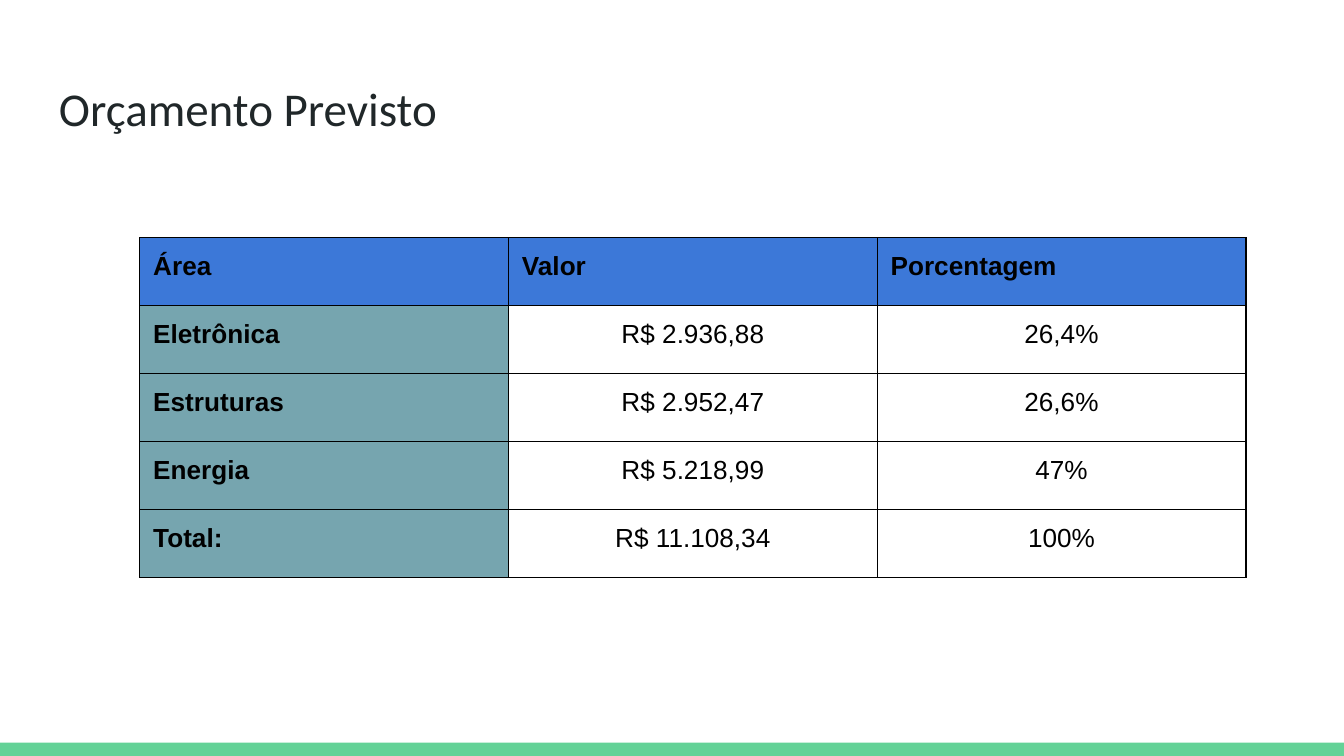
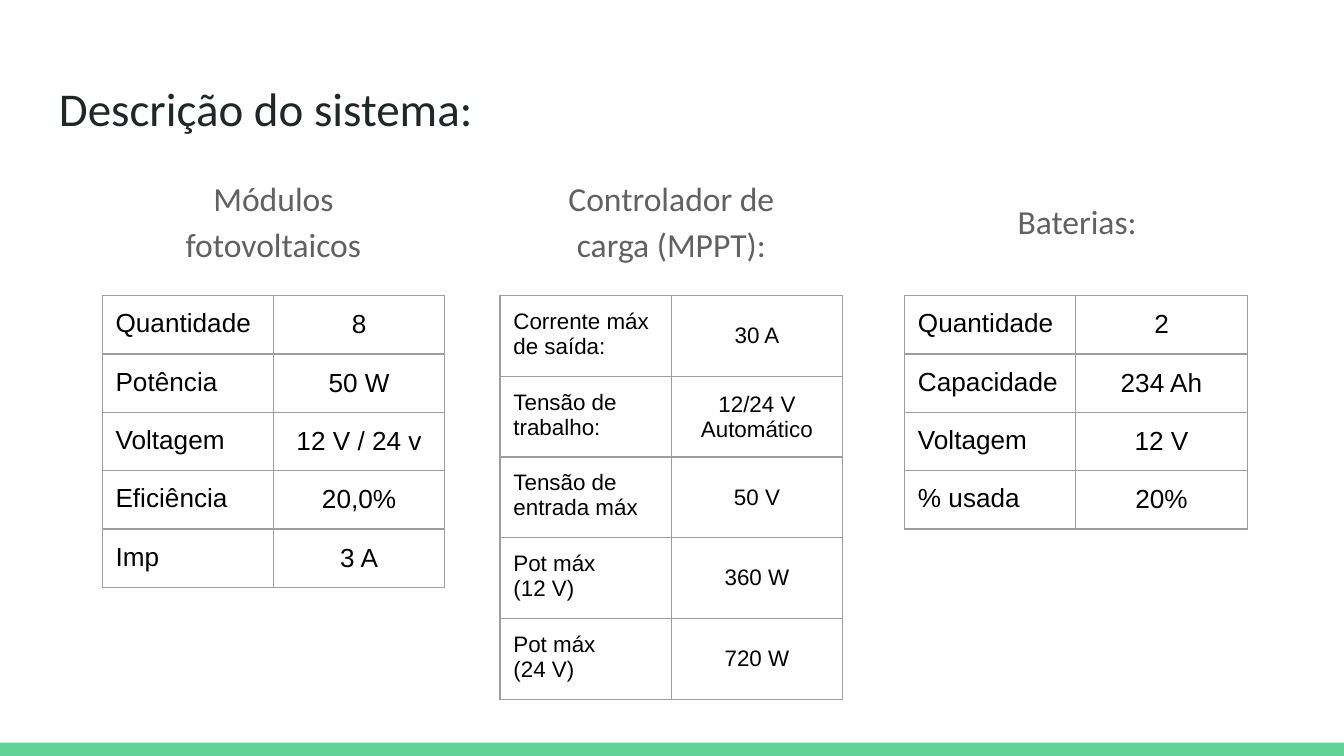
from dataclasses import dataclass

from lxml import etree
from pptx import Presentation
from pptx.dml.color import RGBColor
from pptx.enum.shapes import MSO_SHAPE
from pptx.enum.text import MSO_ANCHOR, PP_ALIGN
from pptx.oxml.ns import qn
from pptx.util import Inches, Pt

RECTANGLE = MSO_SHAPE.RECTANGLE
TOP, MIDDLE = MSO_ANCHOR.TOP, MSO_ANCHOR.MIDDLE
LEFT, CENTER = PP_ALIGN.LEFT, PP_ALIGN.CENTER


@dataclass(frozen=True)
class Theme:
    background: str = "FFFFFF"
    band: str = "63D297"
    title: str = "202729"
    heading: str = "616161"
    cell_text: str = "000000"
    header_fill: str = "3C78D8"
    area_fill: str = "76A5AF"
    budget_border: str = "000000"
    spec_border: str = "9E9E9E"
    heading_font: str = "Calibri"
    table_font: str = "Arial"
    title_size: float = 25.2
    heading_size: float = 18
    table_size: float = 14
    small_table_size: float = 12
    border_width: float = 0.75
    inset: float = 0.1


THEME = Theme()
SLIDE_WIDTH = 10
SLIDE_HEIGHT = SLIDE_WIDTH * 9 / 16
BAND_HEIGHT = 0.1

BUDGET = [
    ("Área", "Valor", "Porcentagem"),
    ("Eletrônica", "R$ 2.936,88", "26,4%"),
    ("Estruturas", "R$ 2.952,47", "26,6%"),
    ("Energia", "R$ 5.218,99", "47%"),
    ("Total:", "R$ 11.108,34", "100%"),
]
MODULES = [
    ("Quantidade", "8"),
    ("Potência", "50 W"),
    ("Voltagem", "12 V / 24 v"),
    ("Eficiência", "20,0%"),
    ("Imp", "3 A"),
]
CONTROLLER = [
    ("Corrente máx de saída:", "30 A"),
    ("Tensão de trabalho:", "12/24 V Automático"),
    ("Tensão de entrada máx", "50 V"),
    ("Pot máx\n(12 V)", "360 W"),
    ("Pot máx\n(24 V)", "720 W"),
]
BATTERIES = [
    ("Quantidade", "2"),
    ("Capacidade", "234 Ah"),
    ("Voltagem", "12 V"),
    ("% usada", "20%"),
]
# heading, heading box, table left, table height, rows, text size
SYSTEM_PARTS = [
    ("Módulos fotovoltaicos", (1.18, 1.31, 1.71, 0.63), 0.76, 2.15, MODULES,
     THEME.table_size),
    ("Controlador de carga (MPPT):", (4.05, 1.21, 1.89, 0.83), 3.72, 2.86, CONTROLLER,
     THEME.small_table_size),
    ("Baterias:", (7.28, 1.31, 1.47, 0.63), 6.73, 1.72, BATTERIES, THEME.table_size),
]


def set_insets(target):
    for side in ("left", "top", "right", "bottom"):
        setattr(target, f"margin_{side}", Inches(THEME.inset))


def format_text(frame, color, align=LEFT, spacing=None, **font_values):
    for para in frame.paragraphs:
        para.alignment = align
        if spacing:
            para.line_spacing = spacing
        for span in para.runs:
            span.font.color.rgb = RGBColor.from_string(color)
            for name, value in font_values.items():
                setattr(span.font, name, value)


def add_text(page, text, place, size, color, anchor=TOP, **paragraph_values):
    box = page.shapes.add_textbox(*map(Inches, place))
    frame = box.text_frame
    frame.word_wrap = True
    frame.vertical_anchor = anchor
    set_insets(frame)
    frame.text = text
    format_text(frame, color, name=THEME.heading_font, size=Pt(size), **paragraph_values)


def add_page(deck, title):
    """Add a slide with the bottom band and the title."""
    page = deck.slides.add_slide(deck.slide_layouts[6])
    page.background.fill.solid()
    page.background.fill.fore_color.rgb = RGBColor.from_string(THEME.background)
    place = (0, SLIDE_HEIGHT - BAND_HEIGHT, SLIDE_WIDTH, BAND_HEIGHT)
    band = page.shapes.add_shape(RECTANGLE, *map(Inches, place))
    band.shadow.inherit = False
    band.fill.solid()
    band.fill.fore_color.rgb = RGBColor.from_string(THEME.band)
    band.line.fill.background()
    add_text(page, title, (0.34, 0.49, 9.32, 0.63), THEME.title_size, THEME.title)
    return page


def set_borders(cell, color):
    properties = cell._tc.get_or_add_tcPr()
    for tag in ("a:lnL", "a:lnR", "a:lnT", "a:lnB"):
        line = etree.SubElement(properties, qn(tag), w=str(Pt(THEME.border_width)))
        fill = etree.SubElement(line, qn("a:solidFill"))
        etree.SubElement(fill, qn("a:srgbClr"), val=color)


def fill_cell(cell, color):
    if color:
        cell.fill.solid()
        cell.fill.fore_color.rgb = RGBColor.from_string(color)
    else:
        cell.fill.background()


def add_table(page, rows, place, border, size,
              value_anchor=TOP, header_fill=None, label_fill=None):
    """Add an even grid, labels on the left; filled header and label cells are bold."""
    shape = page.shapes.add_table(len(rows), len(rows[0]), *map(Inches, place))
    table = shape.table
    table.first_row = table.horz_banding = False
    for r, values in enumerate(rows):
        for c, value in enumerate(values):
            cell = table.cell(r, c)
            is_header = r == 0 and header_fill is not None
            is_label = c == 0
            fill = header_fill if is_header else label_fill if is_label else None
            cell.text = value
            cell.vertical_anchor = TOP if is_label else value_anchor
            set_insets(cell)
            set_borders(cell, border)
            fill_cell(cell, fill)
            format_text(cell.text_frame, THEME.cell_text,
                        align=LEFT if is_header or is_label else CENTER,
                        name=THEME.table_font, size=Pt(size), bold=fill is not None)


def add_budget_page(deck):
    page = add_page(deck, "Orçamento Previsto")
    add_table(page, BUDGET, (1.04, 1.77, 8.23, 2.53), THEME.budget_border,
              THEME.table_size, header_fill=THEME.header_fill, label_fill=THEME.area_fill)


def add_system_page(deck):
    page = add_page(deck, "Descrição do sistema:")
    for heading, heading_place, left, height, rows, size in SYSTEM_PARTS:
        add_text(page, heading, heading_place, THEME.heading_size, THEME.heading,
                 anchor=MIDDLE, align=CENTER, spacing=1.15)
        add_table(page, rows, (left, 2.2, 2.55, height), THEME.spec_border, size,
                  value_anchor=MIDDLE)


def main():
    deck = Presentation()
    deck.slide_width = Inches(SLIDE_WIDTH)
    deck.slide_height = Inches(SLIDE_HEIGHT)
    add_budget_page(deck)
    add_system_page(deck)
    deck.save("out.pptx")


if __name__ == "__main__":
    main()
